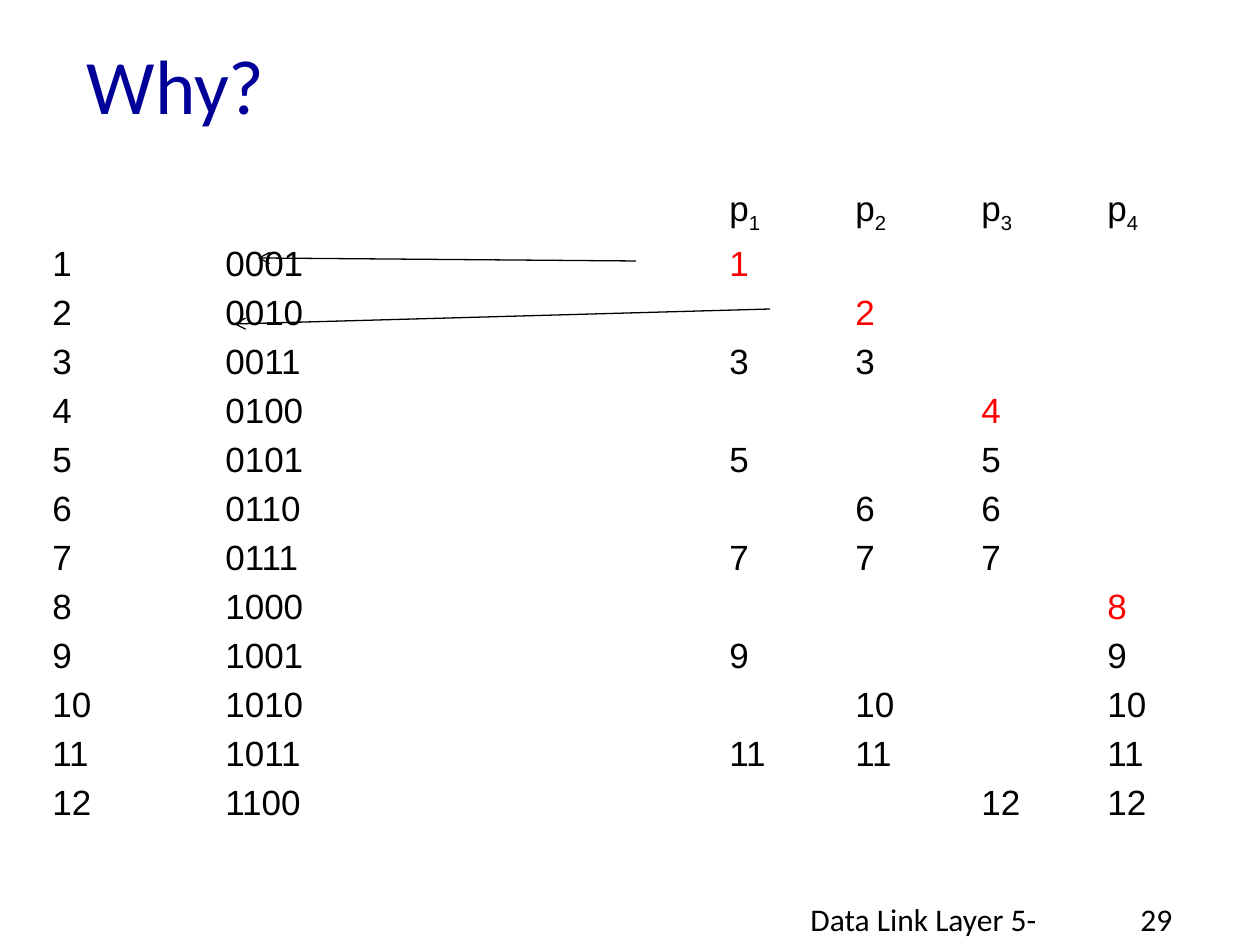
from dataclasses import dataclass

from lxml.etree import SubElement
from pptx import Presentation
from pptx.dml.color import RGBColor as Rgb
from pptx.enum.shapes import MSO_CONNECTOR as Link
from pptx.enum.text import MSO_ANCHOR as Anchor, MSO_AUTO_SIZE as Fit, PP_ALIGN as Align
from pptx.oxml.ns import qn
from pptx.util import Emu, Pt

SCALE = 914400 / 126


def px(n):
    return Emu(round(n * SCALE))


@dataclass(frozen=True)
class Theme:
    ink: str = "000000"
    navy: str = "000099"
    red: str = "FF0000"
    head: str = "Calibri"
    body: str = "Arial"
    title: int = 44
    text: int = 20
    foot: int = 18
    gap: int = 4
    line: float = 0.75


def write(para, text, *, font, size, color, base=0):
    """Add one run; base is the baseline shift in percent."""
    run = para.add_run()
    run.text = text
    run.font.name = font
    run.font.size = Pt(size)
    run.font.color.rgb = Rgb.from_string(color)
    if base:
        run.font._element.set("baseline", str(base * 1000))


class Deck:
    def __init__(self, theme, width, height):
        self.theme = theme
        self.show = Presentation()
        self.show.slide_width, self.show.slide_height = px(width), px(height)
        self.slide = self.show.slides.add_slide(self.show.slide_layouts[5])

    def title(self, text, x, y, w, h):
        shape = self.slide.shapes.title
        shape.left, shape.top, shape.width, shape.height = map(px, (x, y, w, h))
        frame = shape.text_frame
        frame.auto_size = Fit.NONE
        frame.vertical_anchor = Anchor.TOP
        para = frame.paragraphs[0]
        para.alignment = Align.LEFT
        write(para, text, font=self.theme.head, size=self.theme.title,
              color=self.theme.navy)

    def box(self, x, y, w, h):
        frame = self.slide.shapes.add_textbox(*map(px, (x, y, w, h))).text_frame
        frame.word_wrap = True
        return frame

    def foot(self, text, x, y, w, h):
        para = self.box(x, y, w, h).paragraphs[0]
        write(para, text, font=self.theme.head, size=self.theme.foot,
              color=self.theme.ink)

    def rows(self, rows, x, y, w, h, hang, tab):
        """Write each row, a list of (text, format) pairs, as one hanging paragraph."""
        frame = self.box(x, y, w, h)
        for i, row in enumerate(rows):
            para = frame.add_paragraph() if i else frame.paragraphs[0]
            para.space_before = Pt(self.theme.gap)
            props = para._p.get_or_add_pPr()
            props.set("marL", str(px(hang)))
            props.set("indent", str(-px(hang)))
            props.set("defTabSz", str(px(tab)))
            for text, form in row:
                look = {"font": self.theme.body, "size": self.theme.text,
                        "color": self.theme.ink} | form
                write(para, text, **look)

    def arrow(self, x1, y1, x2, y2):
        link = self.slide.shapes.add_connector(
            Link.STRAIGHT, *map(px, (x1, y1, x2, y2)))
        link.line.color.rgb = Rgb.from_string(self.theme.ink)
        link.line.width = Pt(self.theme.line)
        SubElement(link.line._get_or_add_ln(), qn("a:tailEnd"), type="arrow")
        SubElement(link._element.spPr, qn("a:effectLst"))


def header(bits):
    row = []
    for k in range(1, bits + 1):
        row += [("\t" * (6 if k == 1 else 1) + "p", {}), (str(k), {"base": -25})]
    return row


def parity(n, bits, red):
    """List n under each parity bit that covers it; powers of two are red."""
    lead = f"{n}\t\t{n:0{bits}b}\t\t\t\t"
    cells = "\t".join(str(n) if n >> k & 1 else "" for k in range(bits)).rstrip()
    if n & (n - 1):
        return [(lead + cells, {})]
    mark = str(n)
    return [(lead + cells.removesuffix(mark), {}), (mark, {"color": red})]


def main():
    theme = Theme()
    deck = Deck(theme, 1260, 945)
    bits = 4
    deck.foot("29", 1128, 894, 93, 63)
    deck.title("Why?", 74, 31, 1071, 158)
    rows = [header(bits)] + [parity(n, bits, theme.red) for n in range(1, 13)]
    deck.rows(rows, 40, 180, 1197, 674, hang=47, tab=126)
    deck.arrow(636, 261, 258, 258)
    deck.arrow(770, 309, 234, 324)
    deck.foot("Data Link Layer 5-", 798, 894, 399, 63)
    deck.show.save("out.pptx")


if __name__ == "__main__":
    main()
